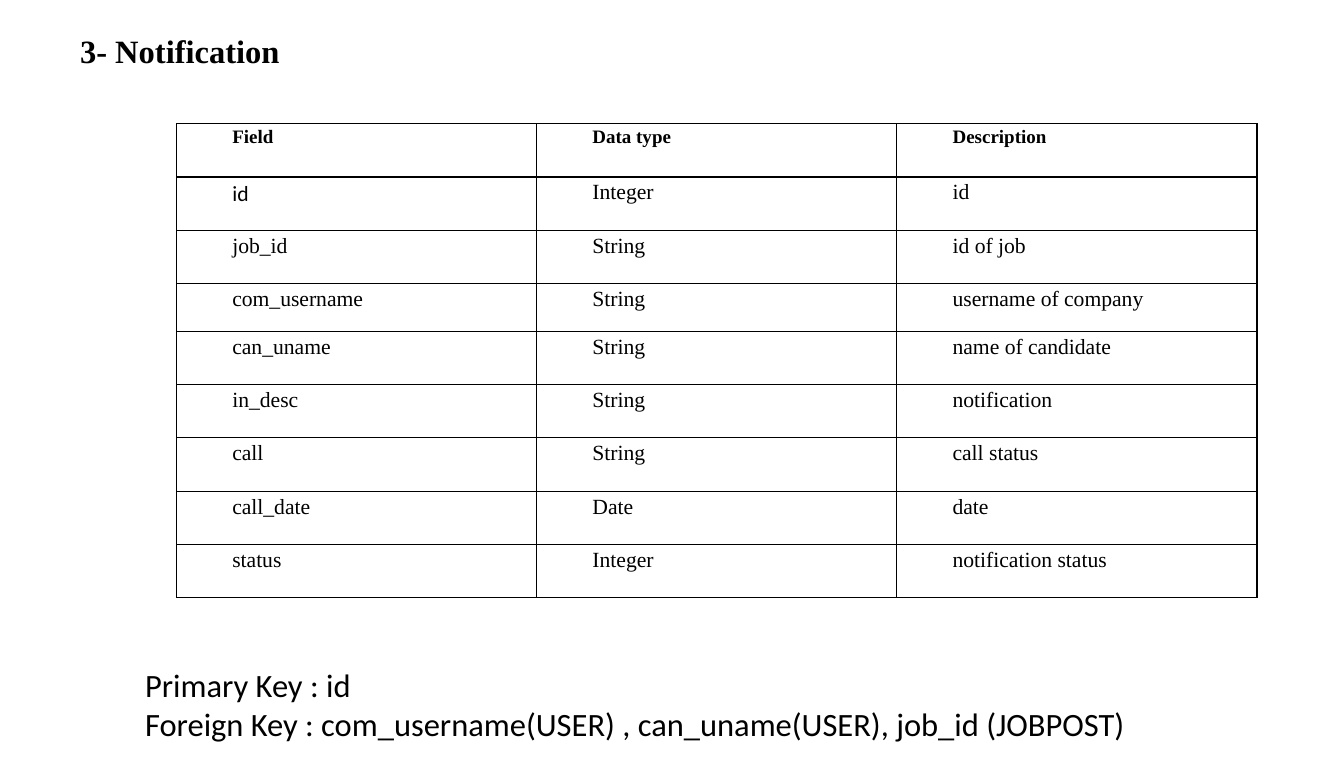
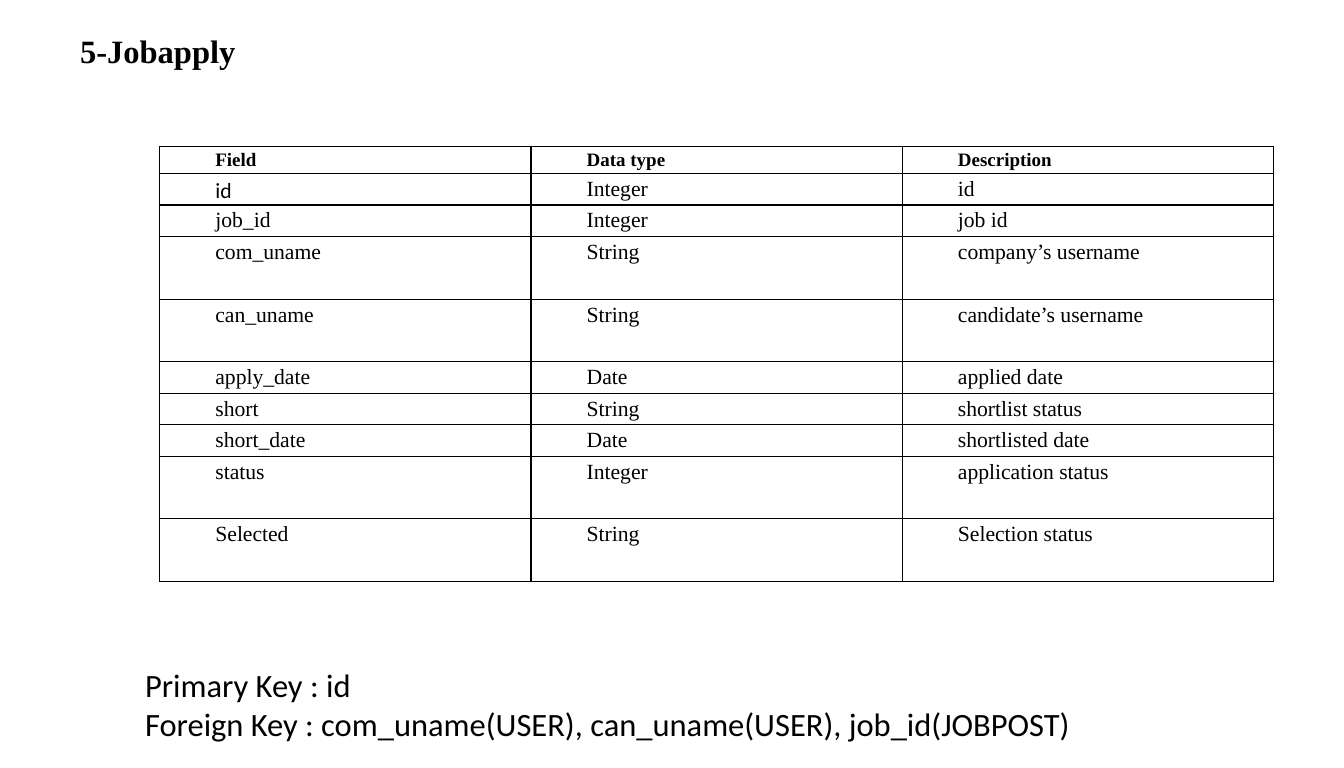
from lxml.etree import SubElement
from pptx import Presentation
from pptx.dml.color import RGBColor
from pptx.enum.text import MSO_ANCHOR, MSO_AUTO_SIZE, PP_ALIGN
from pptx.oxml.ns import qn
from pptx.util import Cm, Emu, Pt

# Content
HEAD = ("Field", "Data type", "Description")
PAGES = [
    {
        "title": "3- Notification", "title_w": 5.77,
        "left": 4.6, "top": 3.22, "col_w": 9.38,
        "rows": [
            (1.39, HEAD),
            (1.39, ("id", "Integer", "id")),
            (1.39, ("job_id", "String", "id of job")),
            (1.24, ("com_username", "String", "username of company")),
            (1.39, ("can_uname", "String", "name of candidate")),
            (1.39, ("in_desc", "String", "notification")),
            (1.39, ("call", "String", "call status")),
            (1.39, ("call_date", "Date", "date")),
            (1.39, ("status", "Integer", "notification status")),
        ],
        "keys": ["Primary Key : id",
                 "Foreign Key : com_username(USER) , can_uname(USER), job_id (JOBPOST)"],
        "keys_w": 26.26,
    },
    {
        "title": "5-Jobapply", "title_w": 4.6,
        "left": 4.16, "top": 3.81, "col_w": 9.67,
        "rows": [
            (0.71, HEAD),
            (0.82, ("id", "Integer", "id")),
            (0.82, ("job_id", "Integer", "job id")),
            (1.63, ("com_uname", "String", "company’s username")),
            (1.63, ("can_uname", "String", "candidate’s username")),
            (0.82, ("apply_date", "Date", "applied date")),
            (0.82, ("short", "String", "shortlist status")),
            (0.82, ("short_date", "Date", "shortlisted date")),
            (1.63, ("status", "Integer", "application status")),
            (1.63, ("Selected", "String", "Selection status")),
        ],
        "keys": ["Primary Key : id",
                 "Foreign Key : com_uname(USER), can_uname(USER), job_id(JOBPOST)"],
        "keys_w": 24.82,
    },
]

# Shared style
WIDE, HIGH = Emu(12601575), Emu(7200900)
COLORS = {"ink": "000000"}
SERIF, SANS = "Times New Roman", "Calibri"


def style(para, name, size, bold=False):
    font = para.font
    font.name, font.size, font.bold = name, Pt(size), bold
    font.color.rgb = RGBColor.from_string(COLORS["ink"])
    para.alignment = PP_ALIGN.LEFT


def place(shape, left, top, width, height):
    shape.left, shape.top = Cm(left), Cm(top)
    shape.width, shape.height = Cm(width), Cm(height)


def frame(cell):
    """Draw a thin line on all four sides of a cell."""
    props = cell._tc.get_or_add_tcPr()
    for side in ("a:lnL", "a:lnR", "a:lnT", "a:lnB"):
        line = SubElement(props, qn(side), w=str(Pt(1)))
        fill = SubElement(line, qn("a:solidFill"))
        SubElement(fill, qn("a:srgbClr"), val=COLORS["ink"])
    cell.fill.background()


def add_title(slide, page):
    title = slide.shapes.title
    place(title, 1.83, 0.69, page["title_w"], 1.28)
    text = title.text_frame
    text.text = page["title"]
    text.word_wrap = False
    text.auto_size = MSO_AUTO_SIZE.NONE
    text.vertical_anchor = MSO_ANCHOR.TOP
    style(text.paragraphs[0], SERIF, 24, True)


def add_fields(slide, page):
    rows = page["rows"]
    width = page["col_w"] * len(HEAD)
    height = sum(tall for tall, _ in rows)
    table = slide.shapes.add_table(
        len(rows), len(HEAD), Cm(page["left"]), Cm(page["top"]),
        Cm(width), Cm(height)).table
    table.first_row = table.horz_banding = False
    for col in table.columns:
        col.width = Cm(page["col_w"])
    for r, (tall, words) in enumerate(rows):
        table.rows[r].height = Cm(tall)
        for c, word in enumerate(words):
            cell = table.cell(r, c)
            cell.text = word
            cell.margin_left = cell.margin_right = Cm(0.18)
            cell.margin_top = cell.margin_bottom = 0
            para = cell.text_frame.paragraphs[0]
            para.line_spacing = 1.15
            para._p.get_or_add_pPr().set("marL", str(Cm(1.27)))
            name = SANS if (r, c) == (1, 0) else SERIF
            style(para, name, 14 if r == 0 else 16, r == 0)
            frame(cell)


def add_keys(slide, page):
    box = slide.shapes.add_textbox(0, 0, 0, 0)
    place(box, 3.53, 17.19, page["keys_w"], 2.31)
    text = box.text_frame
    text.word_wrap = False
    text.text = "\n".join(page["keys"])
    for para in text.paragraphs:
        style(para, SANS, 24)


def main():
    deck = Presentation()
    deck.slide_width, deck.slide_height = WIDE, HIGH
    for page in PAGES:
        slide = deck.slides.add_slide(deck.slide_layouts[5])
        add_title(slide, page)
        add_fields(slide, page)
        add_keys(slide, page)
    deck.save("out.pptx")


if __name__ == "__main__":
    main()
